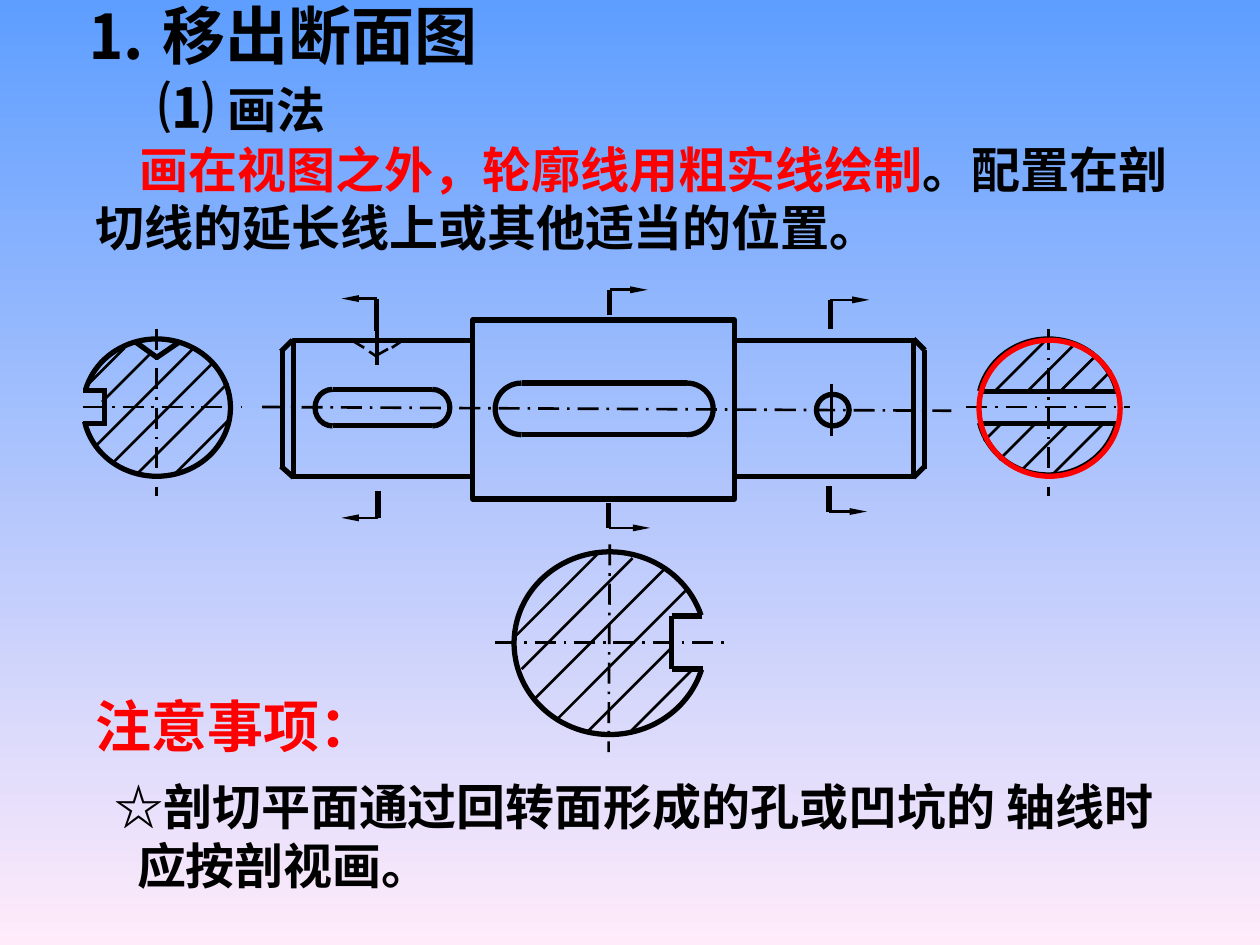
"""Build the slide on removed sections of a stepped shaft."""
from pptx import Presentation
from pptx.dml.color import RGBColor
from pptx.enum.dml import MSO_LINE
from pptx.enum.shapes import MSO_CONNECTOR, MSO_SHAPE
from pptx.enum.text import MSO_ANCHOR, MSO_AUTO_SIZE, PP_ALIGN
from pptx.oxml.ns import qn
from pptx.util import Emu, Pt
from lxml.etree import SubElement

PX = 9144
FONT = "Noto Sans CJK SC"
BLACK = RGBColor(0, 0, 0)
RED = RGBColor(255, 0, 0)
SKY = RGBColor(0x5E, 0x9E, 0xFF)
BLUSH = RGBColor(0xFF, 0xEB, 0xFA)
THICK, MEDIUM, THIN = 3, 2.25, 1.5

TITLE = [([("⒈ 移出断面图", 36, BLACK)], 0, 0)]
METHOD = [([("⑴ ", 32, BLACK), ("画法", 28, BLACK)], 0, 0)]
BODY = [([("画在视图之外，轮廓线用粗实线绘制", 28, RED),
          ("。配置在剖切线的延长线上或其他适当的位置。", 28, BLACK)], 0, 35)]
NOTES_HEADING = [([("注意事项：", 32, RED)], 0, 0)]
NOTES = [([("☆剖切平面通过回转面形成的孔或凹坑的 轴线时", 28, BLACK)], 0, 0),
         ([("应按剖视画。", 28, BLACK)], 18, 0)]

HOLE_SECTION = {
    "axes": [(767, 323, 897, 323), (832, 261, 832, 394)],
    "hatches": [(816, 310, 36), (790, 310, 42), (842, 310, 28), (865, 311, 17),
                (793, 365, 28), (781, 350, 13), (810, 374, 38), (833, 379, 43)],
    "outlines": [(777, 311, 888, 311), (777, 336, 888, 336)],
    "arcs": [(776, 269, 112, 108, 193, 347), (776, 269, 112, 108, 13, 167)],
}
KEYWAY_SECTION = {
    "axes": [(484, 432, 483, 597), (393, 510, 575, 510)],
    "hatches": [(500, 581, 50), (424, 555, 105), (414, 531, 88), (408, 506, 67),
                (443, 570, 101), (466, 581, 67)],
    "outlines": [(533, 489, 533, 531), (533, 489, 557, 489), (533, 531, 558, 531)],
    "arcs": [(408, 438, 152, 145, 16, 343)],
}
PIT_SECTION = {
    "axes": [(66, 323, 192, 323), (124, 261, 124, 394)],
    "hatches": [(108, 377, 73), (89, 368, 81), (75, 355, 78), (81, 319, 39),
                (70, 305, 29), (137, 378, 45)],
    "outlines": [(66, 310, 85, 310), (83, 310, 83, 338), (82, 336, 66, 336),
                 (143, 271, 124, 284), (107, 271, 125, 284)],
    "arcs": [(66, 269, 117, 109, 194, 169)],
}
SHAFT = {
    "rectangles": [(233, 270, 142, 108), (583, 270, 142, 108), (375, 254, 208, 142)],
    "circles": [(648, 313, 26, 25)],
    "outlines": [(232, 270, 223, 279), (233, 379, 223, 370), (224, 372, 224, 277),
                 (725, 269, 734, 278), (725, 379, 734, 370), (734, 372, 734, 278),
                 (264, 309, 343, 309), (264, 338, 343, 338),
                 (414, 304, 545, 304), (414, 345, 545, 345)],
    "cutting_lines": [(299, 259, 299, 290)],
    "details": [(660, 305, 660, 346), (299, 282, 308, 277), (311, 276, 320, 270),
                (299, 283, 293, 279), (289, 276, 279, 270)],
    "axes": [(208, 323, 755, 326)],
    "arcs": [(393, 304, 42, 41, 90, 270), (524, 304, 42, 41, 270, 90),
             (250, 309, 28, 29, 90, 270), (329, 309, 28, 29, 270, 90)],
}
CUTTING_MARKS = [
    {"corner": (484, 230), "end_y": 250, "tip_x": 514},
    {"corner": (483, 419), "end_y": 399, "tip_x": 516},
    {"corner": (659, 238), "end_y": 261, "tip_x": 690},
    {"corner": (658, 406), "end_y": 386, "tip_x": 688},
    {"corner": (299, 237), "end_y": 263, "tip_x": 271},
    {"corner": (300, 411), "end_y": 390, "tip_x": 271},
]
HOLE_OUTLINE = (777, 270, 112, 108)


def px(*lengths):
    return [Emu(length * PX) for length in lengths]


def add_line(shapes, points, weight, dash=None, arrow=False):
    connector = shapes.add_connector(MSO_CONNECTOR.STRAIGHT, *px(*points))
    connector.line.color.rgb = BLACK
    connector.line.width = Pt(weight)
    if dash:
        connector.line.dash_style = dash
    properties = connector._element.spPr
    if arrow:
        SubElement(properties.find(qn("a:ln")), qn("a:tailEnd"), type="triangle", w="sm", len="lg")
    SubElement(properties, qn("a:effectLst"))


def add_outline(shapes, kind, box, color=BLACK):
    shape = shapes.add_shape(kind, *px(*box))
    shape.shadow.inherit = False
    shape.fill.background()
    shape.line.color.rgb = color
    shape.line.width = Pt(THICK)
    return shape


def add_arc(shapes, box, start, end):
    arc = add_outline(shapes, MSO_SHAPE.ARC, box)
    for index, degrees in enumerate((start, end)):
        arc.adjustments[index] = degrees * 60000 / 100000


def draw_part(slide, part):
    shapes = slide.shapes.add_group_shape().shapes
    for points in part["axes"]:
        add_line(shapes, points, THIN, MSO_LINE.LONG_DASH_DOT)
    for x, y, run in part.get("hatches", []):
        add_line(shapes, (x, y, x + run, y - run), THIN)
    for name, weight in (("outlines", THICK), ("cutting_lines", MEDIUM), ("details", THIN)):
        for points in part.get(name, []):
            add_line(shapes, points, weight)
    for name, kind in (("rectangles", MSO_SHAPE.RECTANGLE), ("circles", MSO_SHAPE.OVAL)):
        for box in part.get(name, []):
            add_outline(shapes, kind, box)
    for *box, start, end in part["arcs"]:
        add_arc(shapes, box, start, end)


def draw_cutting_marks(slide):
    for mark in CUTTING_MARKS:
        x, y = mark["corner"]
        shapes = slide.shapes.add_group_shape().shapes
        add_line(shapes, (x, y, x, mark["end_y"]), THICK)
        add_line(shapes, (x, y, mark["tip_x"], y), THIN, arrow=True)


def write_text(shape, box, paragraphs, anchor=MSO_ANCHOR.MIDDLE, align=PP_ALIGN.LEFT, wrap=True):
    shape.left, shape.top, shape.width, shape.height = px(*box)
    frame = shape.text_frame
    frame.auto_size = MSO_AUTO_SIZE.NONE
    frame.word_wrap = wrap
    frame.vertical_anchor = anchor
    for index, (runs, margin, indent) in enumerate(paragraphs):
        paragraph = frame.add_paragraph() if index else frame.paragraphs[0]
        paragraph.alignment = align
        paragraph.space_before = Pt(0)
        properties = paragraph._p.get_or_add_pPr()
        properties.set("marL", str(margin * PX))
        properties.set("indent", str(indent * PX))
        SubElement(properties, qn("a:buNone"))
        for text, size, color in runs:
            run = paragraph.add_run()
            run.text = text
            run.font.size = Pt(size)
            run.font.bold = True
            run.font.color.rgb = color
            run.font.name = FONT
            SubElement(run._r.get_or_add_rPr(), qn("a:ea"), typeface=FONT)


def main():
    presentation = Presentation()
    presentation.slide_width, presentation.slide_height = px(1000, 750)
    slide = presentation.slides.add_slide(presentation.slide_layouts[1])
    background = slide.background.fill
    background.gradient()
    background.gradient_angle = 270
    for stop, color in zip(background.gradient_stops, (SKY, BLUSH)):
        stop.color.rgb = color

    title, body = slide.placeholders
    write_text(title, (58, -8, 360, 70), TITLE, MSO_ANCHOR.TOP)
    write_text(body, (66, 105, 885, 104), BODY)

    for part in (HOLE_SECTION, KEYWAY_SECTION, PIT_SECTION, SHAFT):
        draw_part(slide, part)
    draw_cutting_marks(slide)
    add_outline(slide.shapes, MSO_SHAPE.OVAL, HOLE_OUTLINE, RED)

    for box, paragraphs, options in (
        ((116, 52, 152, 64), METHOD, {"align": PP_ALIGN.CENTER, "wrap": False}),
        ((66, 544, 287, 64), NOTES_HEADING, {"anchor": MSO_ANCHOR.TOP}),
        ((81, 611, 886, 104), NOTES, {}),
    ):
        write_text(slide.shapes.add_textbox(*px(*box)), box, paragraphs, **options)
    presentation.save("out.pptx")


if __name__ == "__main__":
    main()
